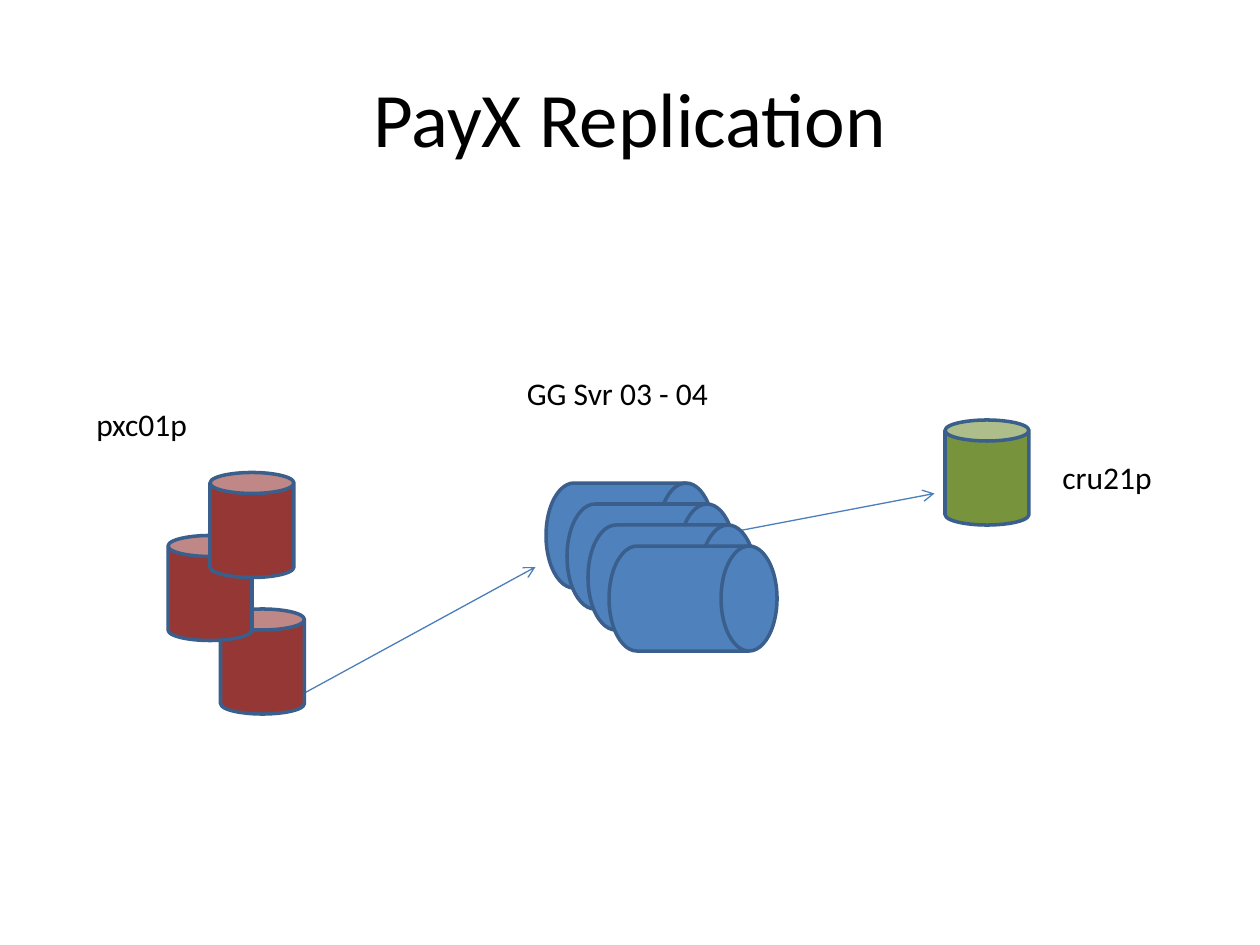
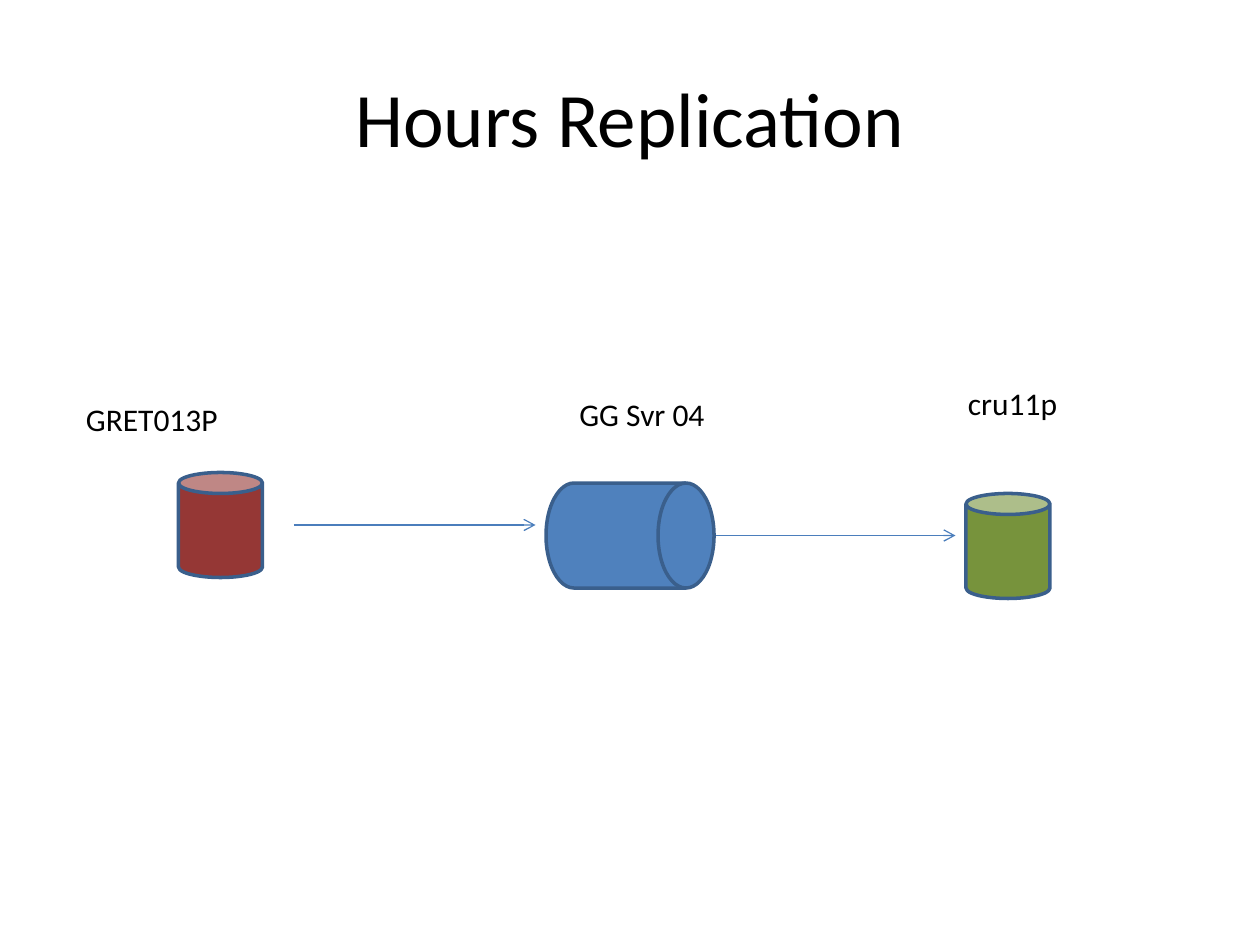
from lxml.etree import SubElement
from pptx import Presentation
from pptx.dml.color import RGBColor as RGB
from pptx.enum.shapes import MSO_CONNECTOR as LINE, MSO_SHAPE as SHAPE
from pptx.enum.text import MSO_ANCHOR as ANCHOR, PP_ALIGN as ALIGN
from pptx.oxml.ns import qn
from pptx.util import Inches, Pt

# Shared look
FONT = "Calibri"
BLACK = RGB(0x00, 0x00, 0x00)
RED = RGB(0x95, 0x37, 0x35)
GREEN = RGB(0x77, 0x93, 0x3C)
BLUE = RGB(0x4F, 0x81, 0xBD)
EDGE = RGB(0x3A, 0x5F, 0x8C)
ARROW = RGB(0x4B, 0x7E, 0xBC)

# Grid: 12 cells to the inch, slide of 120 by 90 cells
CELL = Inches(1) / 12
COLS, ROWS = 120, 90
TITLE = (6, 3.6, COLS - 12, 15)
LABEL_H = 4.8

# Kinds of node: preset, fill, columns, rows
KINDS = {
    "source": (SHAPE.CAN, RED, 8, 10),
    "server": (SHAPE.FLOWCHART_DIRECT_ACCESS_STORAGE, BLUE, 16, 10),
    "target": (SHAPE.CAN, GREEN, 8, 10),
}
STEP = 2  # shift between stacked servers

# Content, back to front: arrows (from, to), nodes (kind, col, row),
# labels (text, col, row, width)
SLIDES = [
    {
        "title": "PayX Replication",
        "arrows": [((68, 51), (89, 47)), ((29, 66), (51, 54))],
        "nodes": [("target", 90, 40), ("source", 21, 58),
                  ("source", 16, 51), ("source", 20, 45)]
                 + [("server", 52 + STEP * i, 46 + STEP * i) for i in range(4)],
        "labels": [("cru21p", 100, 43, 12), ("pxc01p", 8, 38, 23),
                   ("GG Svr 03 - 04", 49, 35, 23)],
    },
    {
        "title": "Hours Replication",
        "arrows": [((28, 50), (51, 50)), ((68, 51), (91, 51))],
        "nodes": [("source", 17, 45), ("server", 52, 46), ("target", 92, 47)],
        "labels": [("cru11p", 91, 36, 12), ("GG Svr 04", 54, 37, 23),
                   ("GRET013P", 7, 37.5, 16)],
    },
]


def grid(*cells):
    return [round(c * CELL) for c in cells]


def add_text(slide, text, box, size=18, align=ALIGN.LEFT, anchor=ANCHOR.TOP):
    frame = slide.shapes.add_textbox(*grid(*box)).text_frame
    frame.word_wrap = True
    frame.vertical_anchor = anchor
    par = frame.paragraphs[0]
    par.alignment = align
    run = par.add_run()
    run.text = text
    run.font.name, run.font.size = FONT, Pt(size)
    run.font.color.rgb = BLACK


def add_node(slide, kind, col, row):
    preset, fill, width, height = KINDS[kind]
    node = slide.shapes.add_shape(preset, *grid(col, row, width, height))
    node.shadow.inherit = False
    node.fill.solid()
    node.fill.fore_color.rgb = fill
    node.line.color.rgb = EDGE
    node.line.width = Pt(2)


def add_arrow(slide, start, end):
    link = slide.shapes.add_connector(LINE.STRAIGHT, *grid(*start, *end))
    link.line.color.rgb = ARROW
    link.line.width = Pt(0.75)
    props = link._element.spPr
    SubElement(props.find(qn("a:ln")), qn("a:tailEnd"), type="arrow")
    SubElement(props, qn("a:effectLst"))


def main():
    deck = Presentation()
    deck.slide_width, deck.slide_height = grid(COLS, ROWS)
    for page in SLIDES:
        slide = deck.slides.add_slide(deck.slide_layouts[6])
        add_text(slide, page["title"], TITLE, size=44,
                 align=ALIGN.CENTER, anchor=ANCHOR.MIDDLE)
        # Arrows lie behind the nodes
        for start, end in page["arrows"]:
            add_arrow(slide, start, end)
        for node in page["nodes"]:
            add_node(slide, *node)
        for text, col, row, width in page["labels"]:
            add_text(slide, text, (col, row, width, LABEL_H))
    deck.save("out.pptx")


if __name__ == "__main__":
    main()
